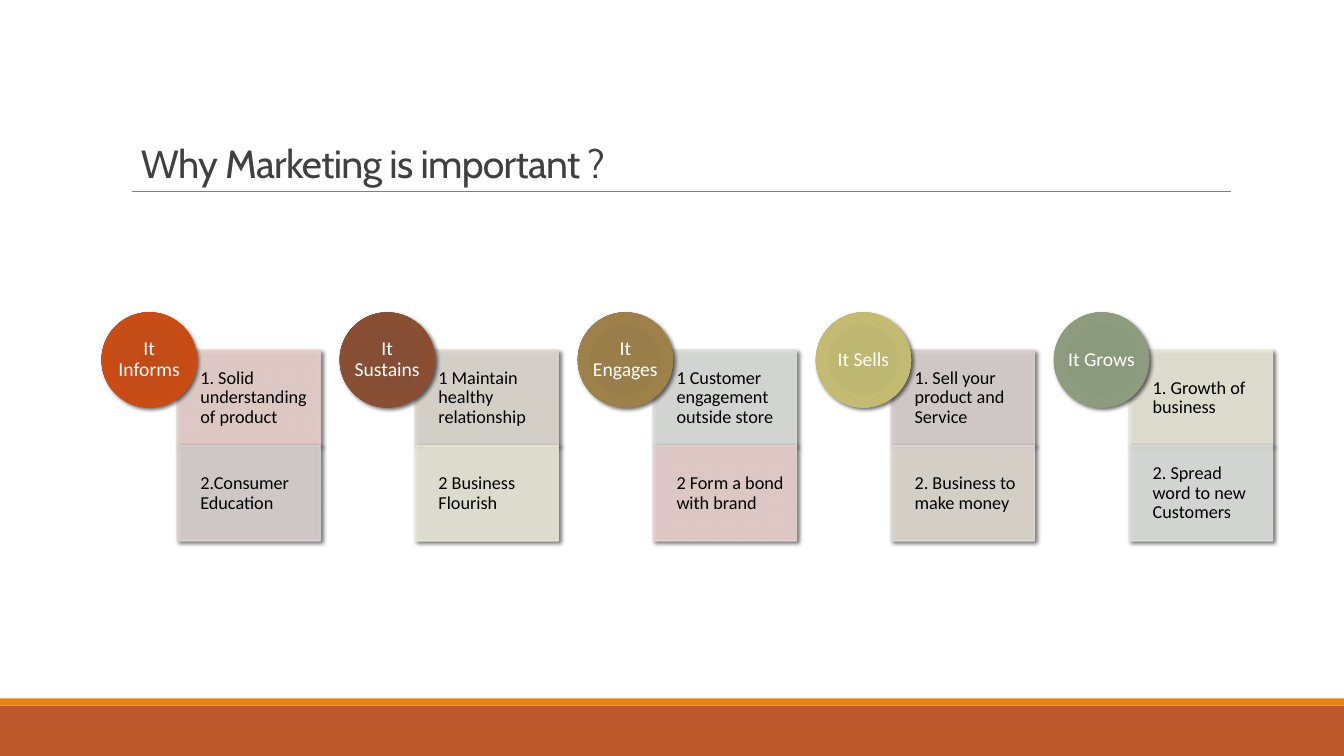
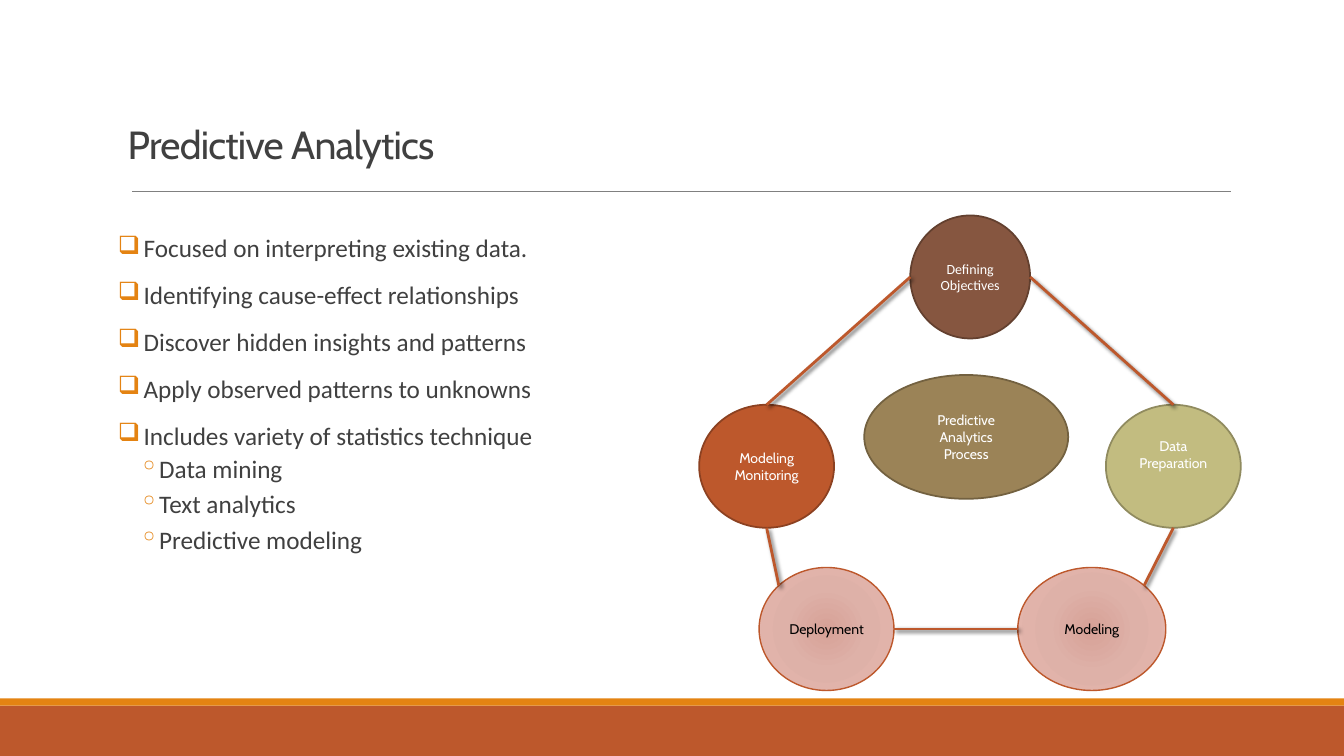
"""Builds two slides on marketing and predictive analytics."""
import math
from itertools import cycle

from lxml import etree
from pptx import Presentation
from pptx import util as u
from pptx.dml.color import RGBColor
from pptx.enum import shapes, text
from pptx.oxml.ns import qn

WHITE = RGBColor(0xFF, 0xFF, 0xFF)
BLACK = RGBColor(0x00, 0x00, 0x00)
INK = RGBColor(0x40, 0x40, 0x40)
GREY = RGBColor(0x80, 0x80, 0x80)
RUST = RGBColor(0xBD, 0x58, 0x2C)
DARK_RUST = RGBColor(0x8C, 0x41, 0x21)
ORANGE = RGBColor(0xE4, 0x83, 0x12)
BROWN = RGBColor(0x86, 0x56, 0x40)
DARK_BROWN = RGBColor(0x63, 0x40, 0x2F)
OLIVE = RGBColor(0xC2, 0xBC, 0x80)
DARK_OLIVE = RGBColor(0x90, 0x8B, 0x5F)
TAN = RGBColor(0x9B, 0x83, 0x57)
DARK_TAN = RGBColor(0x73, 0x61, 0x40)

TINTS = [RGBColor.from_string(tint) for tint in
         ("E8D1CD", "D9D1CF", "DED9D1", "E9E7D8", "DCDFDA")]
PINK_GLOW = [(0, RGBColor(0xD7, 0xA1, 0x97)), (45, RGBColor(0xDE, 0xB1, 0xA8)),
             (100, RGBColor(0xE6, 0xB7, 0xAE))]
BADGE_GLOWS = [list(zip((0, 34, 70, 100), map(RGBColor.from_string, tones.split())))
               for tones in ("C44A15 C34C18 C94C15 C45525",
                             "874C32 864E34 8A4E33 8A553D",
                             "9A7D48 9A7E4A 9E8049 9E8454",
                             "BEB76E BEB771 C3BB71 C5BF7D",
                             "8A987B 8B997D 8D9C7E 94A187")]

REASONS = [
    ("It Informs", "1. Solid understanding of product", "2.Consumer Education"),
    ("It Sustains", "1 Maintain healthy relationship", "2 Business Flourish"),
    ("It Engages", "1 Customer engagement outside store", "2 Form a bond with brand"),
    ("It Sells", "1. Sell your product and Service", "2. Business to make money"),
    ("It Grows", "1. Growth of business", "2. Spread word to new Customers"),
]
POINTS = ["Focused on interpreting existing data.",
          "Identifying cause-effect relationships",
          "Discover hidden insights and patterns",
          "Apply observed patterns to unknowns",
          "Includes variety of statistics technique"]
TECHNIQUES = ["Data mining", "Text analytics", "Predictive modeling"]


def sub(parent, tag, **attributes):
    """Add a child element with the given attributes."""
    child = etree.SubElement(parent, qn(tag))
    for name, value in attributes.items():
        child.set(name, str(value))
    return child


def add_shadow(effects):
    """Put the soft drop shadow into an effect list."""
    shadow = sub(effects, "a:outerShdw", blurRad=u.Pt(3), dist=u.Pt(2),
                 dir=45 * 60000, rotWithShape=0)
    sub(sub(shadow, "a:srgbClr", val=BLACK), "a:alpha", val=60000)


def add_bullet(paragraph, bullet, margin, hanging):
    """Give a paragraph a hanging orange bullet."""
    properties = paragraph._p.get_or_add_pPr()
    properties.set("marL", str(u.Cm(margin)))
    properties.set("indent", str(-u.Cm(hanging)))
    sub(sub(properties, "a:buClr"), "a:srgbClr", val=ORANGE)
    sub(properties, "a:buChar", char=bullet)


def write(frame, lines, size=10, font="Calibri", color=WHITE, align=None, spacing=None,
          before=0, after=0, tracking=None, bullet=None, more=False):
    """Write lines into a text frame, or after its text if more is set."""
    for number, line in enumerate(lines):
        fresh = more or number
        paragraph = frame.add_paragraph() if fresh else frame.paragraphs[0]
        paragraph.alignment = align
        paragraph.line_spacing = spacing
        paragraph.space_before, paragraph.space_after = u.Pt(before), u.Pt(after)
        if bullet:
            add_bullet(paragraph, *bullet)
        run = paragraph.add_run()
        run.text = line
        run.font.size, run.font.name = u.Pt(size), font
        run.font.color.rgb = color
        if tracking:
            run._r.get_or_add_rPr().set("spc", str(round(tracking * 100)))


def prepare(frame, anchor, insets):
    """Set wrapping, anchor and insets (left, top, right, bottom)."""
    frame.word_wrap = True
    frame.vertical_anchor = anchor
    frame.margin_left, frame.margin_top, frame.margin_right, frame.margin_bottom = (
        u.Cm(inset) for inset in insets)


def rim(box, degrees):
    """Return the point of an ellipse at an angle, clockwise from the right."""
    left, top, width, height = box
    angle = math.radians(degrees)
    return (left + width / 2 * (1 + math.cos(angle)),
            top + height / 2 * (1 + math.sin(angle)))


class Deck:
    """Holds the shared style and the current slide."""

    def __init__(self):
        """Start an empty widescreen presentation."""
        self.presentation = Presentation()
        self.presentation.slide_width = u.Cm(33.87)
        self.presentation.slide_height = u.Cm(19.05)
        self.slide = None

    def new_slide(self, title, box):
        """Add a slide with bands, rule and title."""
        self.slide = self.presentation.slides.add_slide(self.presentation.slide_layouts[6])
        self.shape((0, 17.78, 33.87, 1.27), RUST)
        self.shape((0, 17.6, 33.87, 0.18), ORANGE)
        self.line((3.33, 4.83), (31.01, 4.83), GREY, 0.5)
        frame = self.text_box(box, text.MSO_ANCHOR.BOTTOM, (0.25, 0.13, 0.25, 0.13))
        write(frame, [title], 28, "Cabin", INK, spacing=0.85, tracking=-0.5)

    def text_box(self, box, anchor, insets):
        """Add a text box and return its frame."""
        frame = self.slide.shapes.add_textbox(*map(u.Cm, box)).text_frame
        prepare(frame, anchor, insets)
        return frame

    def shape(self, box, fill, outline=None, width=1, kind=shapes.MSO_SHAPE.RECTANGLE,
              opacity=100, shadow=False, insets=(0, 0, 0, 0)):
        """Add a shape with a plain fill or glow and return its frame."""
        shape = self.slide.shapes.add_shape(kind, *map(u.Cm, box))
        if isinstance(fill, list):
            self.glow(shape, fill)
        else:
            shape.fill.solid()
            shape.fill.fore_color.rgb = fill
        if outline is None:
            shape.line.fill.background()
        else:
            shape.line.color.rgb = outline
            shape.line.width = u.Pt(width)
        if opacity < 100:
            for color in shape.element.spPr.iter(qn("a:srgbClr")):
                sub(color, "a:alpha", val=opacity * 1000)
        shape.shadow.inherit = False
        if shadow:
            add_shadow(shape.element.spPr.find(qn("a:effectLst")))
        prepare(shape.text_frame, text.MSO_ANCHOR.MIDDLE, insets)
        return shape.text_frame

    def glow(self, shape, stops):
        """Fill a shape with a circular gradient."""
        shape.fill.gradient()
        gradient = shape.element.spPr.find(qn("a:gradFill"))
        for child in list(gradient):
            gradient.remove(child)
        stop_list = sub(gradient, "a:gsLst")
        for position, color in stops:
            sub(sub(stop_list, "a:gs", pos=position * 1000), "a:srgbClr", val=color)
        circle = sub(gradient, "a:path", path="circle")
        sub(circle, "a:fillToRect", l=100000, t=100000, r=100000, b=100000)

    def ellipse(self, box, fill, lines, outline=None, width=1.25, shadow=False,
                lift=0, **style):
        """Add an ellipse with centred text."""
        frame = self.shape(box, fill, outline, width, shapes.MSO_SHAPE.OVAL,
                           shadow=shadow, insets=(0, 0, 0, lift))
        write(frame, lines, align=text.PP_ALIGN.CENTER, **style)

    def line(self, start, end, color, width, shadow=False):
        """Add a straight line."""
        line = self.slide.shapes.add_connector(
            shapes.MSO_CONNECTOR.STRAIGHT, *map(u.Cm, (*start, *end)))
        line.line.color.rgb = color
        line.line.width = u.Pt(width)
        effects = sub(line.element.spPr, "a:effectLst")
        if shadow:
            add_shadow(effects)


def importance_slide(deck):
    """Build the five columns of reasons."""
    deck.new_slide("Why Marketing is important ?", (3.3, 2.84, 27.7, 1.98))
    pitch, side = 6, 2.4
    tints = cycle(TINTS)
    for column, ((name, *details), glow) in enumerate(zip(REASONS, BADGE_GLOWS)):
        left = 2.56 + column * pitch
        for row, detail in enumerate(details):
            tint = next(tints)
            frame = deck.shape((left + 1.91, 8.83 + row * side, 3.6, side), tint, tint,
                               opacity=90, shadow=True, insets=(0.58, 0.25, 0.25, 0.25))
            write(frame, [detail], 13, color=BLACK, align=text.PP_ALIGN.LEFT, spacing=0.9)
        deck.ellipse((left, 7.87, side, side), glow, [name], shadow=True,
                     size=14, spacing=0.9)


def analytics_slide(deck):
    """Build the bullet list and the process ring."""
    deck.new_slide("Predictive Analytics", (2.97, 0.3, 27.94, 4.04))
    frame = deck.text_box((2.97, 5.82, 27.94, 11.18), text.MSO_ANCHOR.TOP,
                          (0, 0.13, 0, 0.13))
    write(frame, POINTS, 18, color=INK, spacing=0.9, before=12, after=2,
          bullet=("❑", 0.65, 0.65))
    write(frame, TECHNIQUES, 18, color=INK, spacing=0.9, before=2, after=4,
          bullet=("◦", 1.02, 0.48), more=True)

    height = 3.1
    modeling = (25.65, 14.3, 3.73, height)
    objectives = (22.94, 5.43, 3.02, height)
    deployment = (19.13, 14.3, 3.4, height)
    monitoring = (17.62, 10.2, 3.4, height)
    preparation = (27.87, 10.2, 3.4, height)
    deck.ellipse(modeling, PINK_GLOW, ["Modeling"], RUST, 1, font="Cabin", color=BLACK)
    deck.ellipse(objectives, BROWN, ["Defining", "Objectives"], DARK_BROWN)
    deck.ellipse(deployment, PINK_GLOW, ["Deployment"], RUST, 1, font="Cabin", color=BLACK)
    deck.ellipse(monitoring, RUST, ["Modeling", "Monitoring"], DARK_RUST, font="Cabin")
    deck.ellipse(preparation, OLIVE, ["Data", "Preparation"], DARK_OLIVE, lift=0.58,
                 font="Cabin")

    right, bottom, left, top_left, top, top_right = 0, 90, 180, 225, 270, 315
    for start, start_angle, end, end_angle in (
            (objectives, right, preparation, top),
            (modeling, top_right, preparation, bottom),
            (objectives, left, monitoring, top),
            (modeling, left, deployment, right),
            (monitoring, bottom, deployment, top_left)):
        deck.line(rim(start, start_angle), rim(end, end_angle), RUST, 2, shadow=True)
    deck.ellipse((21.78, 9.45, 5.14, 3.12), TAN, ["Predictive", "Analytics", "Process"],
                 DARK_TAN, font="Cabin")


def main():
    """Build and save the presentation."""
    deck = Deck()
    importance_slide(deck)
    analytics_slide(deck)
    deck.presentation.save("out.pptx")


if __name__ == "__main__":
    main()
